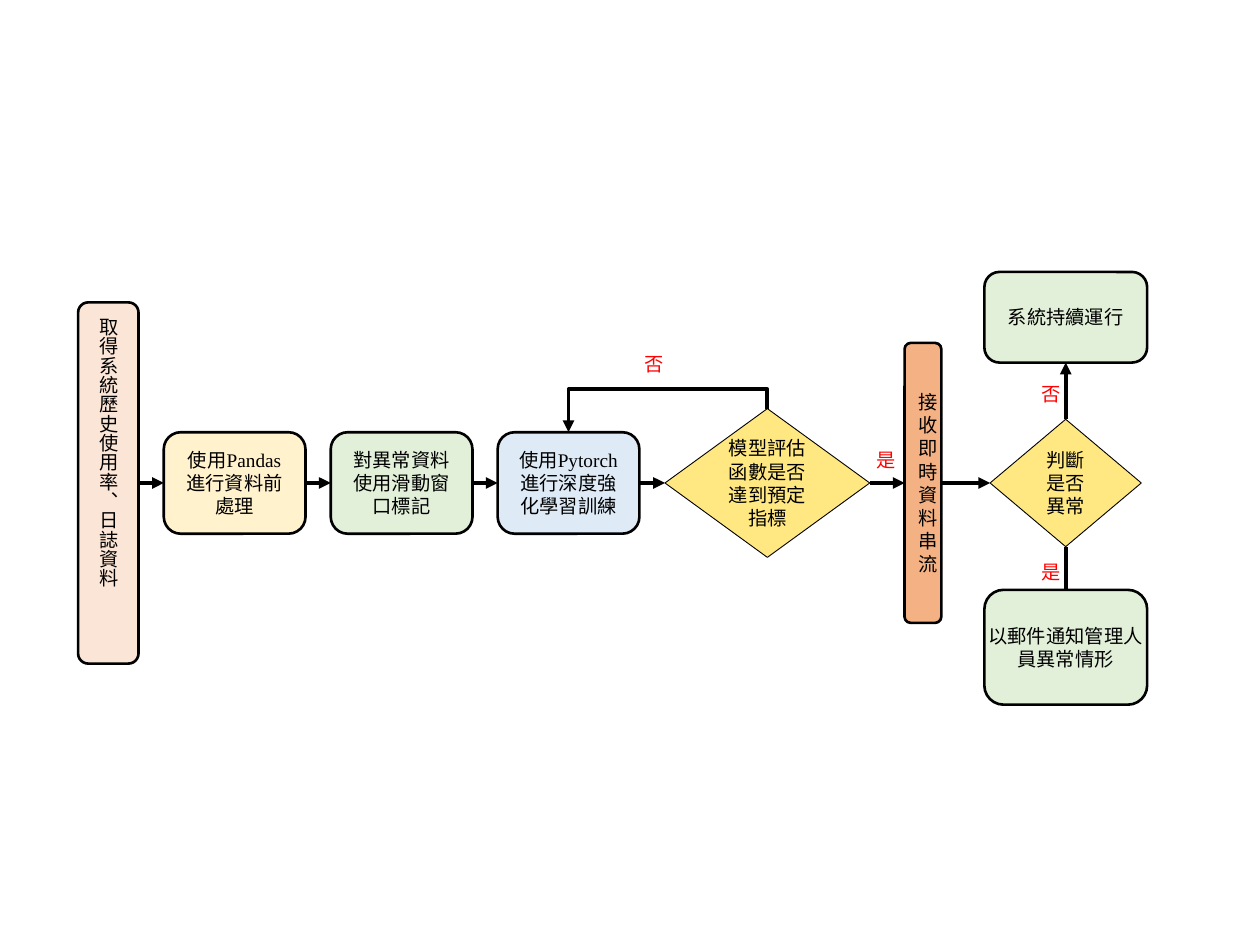
from dataclasses import dataclass

from lxml import etree
from pptx import Presentation
from pptx.dml.color import RGBColor
from pptx.enum.shapes import MSO_CONNECTOR, MSO_SHAPE
from pptx.enum.text import MSO_ANCHOR, MSO_AUTO_SIZE, PP_ALIGN
from pptx.oxml.ns import qn
from pptx.util import Pt

ROUNDED, DIAMOND = MSO_SHAPE.ROUNDED_RECTANGLE, MSO_SHAPE.DIAMOND
STRAIGHT, ELBOW = MSO_CONNECTOR.STRAIGHT, MSO_CONNECTOR.ELBOW
TOP, LEFT, BOTTOM, RIGHT = range(4)
BLANK_LAYOUT = 6

AXIS = 276          # height of the main flow
RESULT_X = 609      # middle of the decision column
STEP_LEFT, STEP_PITCH, STEP_WIDTH, STEP_HEIGHT = 93.6, 95.4, 81, 58
LOOP_RISE = 11      # how far the retry loop rises above the evaluation


@dataclass(frozen=True)
class Theme:
    ink: str = "000000"
    answer: str = "FF0000"
    peach: str = "FBE5D6"
    cream: str = "FFF2CC"
    green: str = "E2F0D9"
    blue: str = "DEEBF7"
    yellow: str = "FFE882"
    orange: str = "F4B183"
    latin: str = "Times New Roman"
    cjk: str = "Noto Sans CJK SC"
    text_size: float = 11
    box_line: float = 1.5
    diamond_line: float = 0.5
    arrow_line: float = 2.25


THEME = Theme()


def rgb(value):
    return RGBColor.from_string(value)


def write(shape, text, color=THEME.ink, font=THEME.cjk, vertical=False):
    frame = shape.text_frame
    frame.word_wrap = True
    frame.vertical_anchor = MSO_ANCHOR.MIDDLE
    if vertical:
        frame._txBody.bodyPr.set("vert", "eaVert")
    para = frame.paragraphs[0]
    para.alignment = PP_ALIGN.CENTER
    span = para.add_run()
    span.text = text
    for name, value in {"size": Pt(THEME.text_size), "name": font}.items():
        setattr(span.font, name, value)
    span.font.color.rgb = rgb(color)
    east_asian = etree.SubElement(span._r.get_or_add_rPr(), qn("a:ea"))
    east_asian.set("typeface", THEME.cjk)


def centred(x, y, width, height):
    return Pt(x - width / 2), Pt(y - height / 2), Pt(width), Pt(height)


def add_node(shapes, kind, x, y, width, height, fill, text=None, **text_format):
    """Add a filled, outlined shape centred on x, y."""
    node = shapes.add_shape(kind, *centred(x, y, width, height))
    node.shadow.inherit = False
    node.fill.solid()
    node.fill.fore_color.rgb = rgb(fill)
    node.line.color.rgb = rgb(THEME.ink)
    node.line.width = Pt(THEME.diamond_line if kind == DIAMOND else THEME.box_line)
    if text:
        write(node, text, **text_format)
    return node


def add_label(shapes, x, y, text, width=22.3, height=20.9, **text_format):
    """Add an unfilled text box centred on x, y."""
    label = shapes.add_textbox(*centred(x, y, width, height))
    write(label, text, **text_format)
    label.text_frame.auto_size = MSO_AUTO_SIZE.SHAPE_TO_FIT_TEXT


def add_result(page, y, height, text, text_width, text_height):
    """Add a grouped box and caption in the decision column."""
    group = page.shapes.add_group_shape()
    box = add_node(group.shapes, ROUNDED, RESULT_X, y, 93, height, THEME.green)
    add_label(group.shapes, RESULT_X, y, text, text_width, text_height)
    return box


def add_arrow(page, kind=STRAIGHT, start=(0, 0), end=(0, 0)):
    arrow = page.shapes.add_connector(kind, *map(Pt, start + end))
    arrow.line.color.rgb = rgb(THEME.ink)
    arrow.line.width = Pt(THEME.arrow_line)
    head = etree.SubElement(arrow.line._get_or_add_ln(), qn("a:tailEnd"))
    head.set("type", "triangle")
    etree.SubElement(arrow._element.spPr, qn("a:effectLst"))
    return arrow


def join(page, source, source_side, target, target_side, kind=STRAIGHT):
    arrow = add_arrow(page, kind)
    arrow.begin_connect(source, source_side)
    arrow.end_connect(target, target_side)
    return arrow


def add_retry_loop(page, source, target):
    """Join two tops with an elbow that first rises, then runs left and drops."""
    loop = join(page, source, TOP, target, TOP, ELBOW)
    start_x = source.left + source.width // 2
    end_x = target.left + target.width // 2
    drop, run = target.top - source.top, start_x - end_x
    # The frame is turned a quarter, so its width is the vertical distance.
    loop.width, loop.height = drop, run
    loop.left = (start_x + end_x - drop) // 2
    loop.top = (source.top + target.top - run) // 2
    properties = loop._element.spPr
    frame = properties.find(qn("a:xfrm"))
    for name, value in {"rot": "16200000", "flipH": "1", "flipV": "1"}.items():
        frame.set(name, value)
    guides = properties.find(qn("a:prstGeom")).get_or_add_avLst()
    guide = etree.SubElement(guides, qn("a:gd"))
    guide.set("name", "adj1")
    guide.set("fmla", f"val {round(-Pt(LOOP_RISE) / drop * 100000)}")


def main():
    deck = Presentation()
    deck.slide_width, deck.slide_height = Pt(720), Pt(540)
    page = deck.slides.add_slide(deck.slide_layouts[BLANK_LAYOUT])
    shapes = page.shapes

    history = add_node(shapes, ROUNDED, 61.9, AXIS, 34.5, 206.4, THEME.peach,
                       "取得系統歷史使用率、日誌資料", vertical=True)
    steps = [
        ("使用Pandas進行資料前處理", THEME.cream, THEME.latin),
        ("對異常資料使用滑動窗口標記", THEME.green, THEME.cjk),
        ("使用Pytorch進行深度強化學習訓練", THEME.blue, THEME.latin),
    ]
    flow = [history]
    for index, (text, fill, font) in enumerate(steps):
        x = STEP_LEFT + index * STEP_PITCH + STEP_WIDTH / 2
        flow.append(add_node(shapes, ROUNDED, x, AXIS, STEP_WIDTH, STEP_HEIGHT,
                             fill, text, font=font))
    training = flow[-1]
    evaluation = add_node(shapes, DIAMOND, 438.5, AXIS, 117, 85, THEME.yellow,
                          "模型評估函數是否達到預定指標")
    stream = add_node(shapes, ROUNDED, 527.4, AXIS, 21, 160, THEME.orange,
                      "接收即時資料串流")
    decision = add_node(shapes, DIAMOND, RESULT_X, AXIS, 86.4, 72.8, THEME.yellow,
                        "判斷是否異常")
    flow += [evaluation, stream, decision]
    for source, target in zip(flow, flow[1:]):
        join(page, source, RIGHT, target, LEFT)
    add_retry_loop(page, evaluation, training)

    # This arrow ends beneath the notification box, which covers its head.
    alarm = add_arrow(page, start=(RESULT_X, 312.4), end=(RESULT_X, 344.2))
    alarm.begin_connect(decision, BOTTOM)
    add_result(page, 369.9, 65.6, "以郵件通知管理人員異常情形", 103, 33.8)
    running = add_result(page, 181.3, 51.8, "系統持續運行", 88.6, 20.9)
    join(page, decision, TOP, running, BOTTOM)

    for x, y, text in [(599.4, 225, "否"), (599.4, 326.5, "是"), (372.6, 207.9, "否")]:
        add_label(shapes, x, y, text, color=THEME.answer)
    add_label(shapes, 505.8, 259.6, "是", 28, 18, color=THEME.answer, vertical=True)

    deck.save("out.pptx")


if __name__ == "__main__":
    main()
